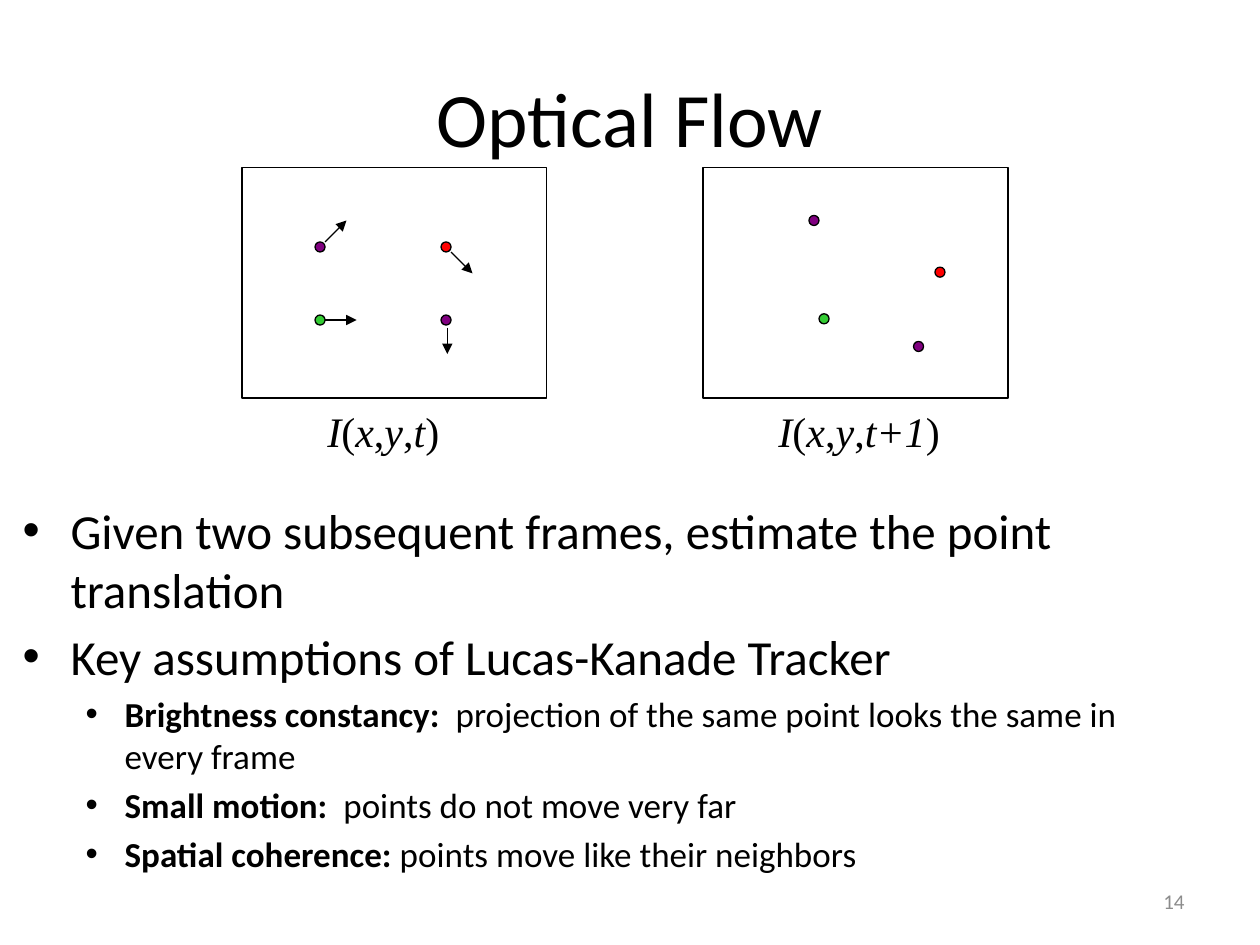
"""Build the optical flow slide."""
from lxml.etree import SubElement
from pptx import Presentation
from pptx.dml.color import RGBColor
from pptx.enum.shapes import MSO_CONNECTOR as CONN, MSO_SHAPE as SHAPE
from pptx.enum.text import MSO_ANCHOR as ANCHOR, MSO_AUTO_SIZE as FIT, PP_ALIGN as ALIGN
from pptx.oxml.ns import qn
from pptx.util import Inches, Pt

BLACK = RGBColor(0, 0, 0)
WHITE = RGBColor(255, 255, 255)
GRAY = RGBColor(0x8C, 0x8C, 0x8C)
PURPLE = RGBColor(0x80, 0, 0x80)
RED = RGBColor(255, 0, 0)
GREEN = RGBColor(0x33, 0xCC, 0x33)

DOT = 0.08
FRAME_TOP, FRAME_W, FRAME_H = 1.33, 2.42, 1.83
FRAMES = [
    (1.92, [(2.5, 1.92, PURPLE), (3.5, 1.92, RED), (2.5, 2.5, GREEN), (3.5, 2.5, PURPLE)]),
    (5.58, [(6.42, 1.71, PURPLE), (7.42, 2.12, RED), (6.5, 2.49, GREEN), (7.25, 2.71, PURPLE)]),
]
ARROWS = [
    (2.58, 1.92, 2.75, 1.75),
    (2.58, 2.54, 2.83, 2.54),
    (3.58, 2, 3.75, 2.17),
    (3.55, 2.6, 3.55, 2.81),
]
LABELS = [((2.5, 3.17, 1.1, 0.51), "t"), ((6.08, 3.17, 1.49, 0.51), "t+1")]
LEVELS = [
    {"size": 28, "left": 0.38, "hang": 0.38},
    {"size": 20, "left": 0.81, "hang": 0.31},
]
TASK = [(0, "", "Given two subsequent frames, estimate the point translation")]
ASSUMPTIONS = [
    (0, "", "Key assumptions of Lucas-Kanade Tracker"),
    (1, "Brightness constancy:", "  projection of the same point looks the same in every frame"),
    (1, "Small motion:", "  points do not move very far"),
    (1, "Spatial coherence:", " points move like their neighbors"),
]


def place(sp, box):
    """Move and size a shape in inches."""
    for name, value in zip(("left", "top", "width", "height"), box):
        setattr(sp, name, Inches(value))


def add_run(p, text, size, name="Calibri", color=BLACK, **extra):
    """Add a formatted run to a paragraph."""
    r = p.add_run()
    r.text = text
    for key, value in {"size": Pt(size), "name": name, **extra}.items():
        setattr(r.font, key, value)
    r.font.color.rgb = color


def add_shape(s, kind, box, fill):
    """Add a filled shape with a thin black outline."""
    sp = s.shapes.add_shape(kind, *map(Inches, box))
    sp.shadow.inherit = False
    sp.fill.solid()
    sp.fill.fore_color.rgb = fill
    sp.line.color.rgb = BLACK
    sp.line.width = Pt(0.75)


def add_arrow(s, ends):
    """Add a thin black arrow."""
    c = s.shapes.add_connector(CONN.STRAIGHT, *map(Inches, ends))
    c.line.color.rgb = BLACK
    c.line.width = Pt(0.75)
    SubElement(c.line._get_or_add_ln(), qn("a:tailEnd"), type="triangle")
    SubElement(c._element.spPr, qn("a:effectLst"))


def fill_list(sp, box, items):
    """Fill a placeholder with bulleted items."""
    place(sp, box)
    tf = sp.text_frame
    tf.auto_size = FIT.NONE
    for i, (level, lead, text) in enumerate(items):
        p = tf.add_paragraph() if i else tf.paragraphs[0]
        style = LEVELS[level]
        p.level = level
        pPr = p._p.get_or_add_pPr()
        pPr.set("marL", str(Inches(style["left"])))
        pPr.set("indent", str(-Inches(style["hang"])))
        SubElement(pPr, qn("a:buFont"), typeface="Arial")
        SubElement(pPr, qn("a:buChar"), char="•")
        if not i:
            p.space_before = Pt(0)
        if lead:
            add_run(p, lead, style["size"], bold=True)
        add_run(p, text, style["size"])


def add_label(s, box, time):
    """Add the image function label under a frame."""
    tf = s.shapes.add_textbox(*map(Inches, box)).text_frame
    tf.word_wrap = False
    tf.auto_size = FIT.SHAPE_TO_FIT_TEXT
    for text in ("I", "(", "x", ",", "y", ",", time, ")"):
        add_run(tf.paragraphs[0], text, 24, "Times New Roman", italic=text not in "(,)")


def add_number(s, text):
    """Add the slide number."""
    tf = s.shapes.add_textbox(*map(Inches, (7.17, 6.95, 2.33, 0.4))).text_frame
    tf.word_wrap = True
    tf.vertical_anchor = ANCHOR.MIDDLE
    p = tf.paragraphs[0]
    p.alignment = ALIGN.RIGHT
    add_run(p, text, 12, color=GRAY)


def main():
    """Create and save the slide."""
    prs = Presentation()
    prs.slide_width, prs.slide_height = Inches(10), Inches(7.5)
    s = prs.slides.add_slide(prs.slide_layouts[3])
    title, task, assumptions = s.placeholders
    place(title, (0.5, 0.3, 9, 1.25))
    title.text_frame.vertical_anchor = ANCHOR.MIDDLE
    add_run(title.text_frame.paragraphs[0], "Optical Flow", 44)
    fill_list(task, (0.08, 3.92, 9.75, 1.08), TASK)
    fill_list(assumptions, (0.08, 4.92, 9, 2.42), ASSUMPTIONS)
    for left, dots in FRAMES:
        add_shape(s, SHAPE.RECTANGLE, (left, FRAME_TOP, FRAME_W, FRAME_H), WHITE)
        for x, y, color in dots:
            add_shape(s, SHAPE.OVAL, (x, y, DOT, DOT), color)
    for ends in ARROWS:
        add_arrow(s, ends)
    for box, time in LABELS:
        add_label(s, box, time)
    add_number(s, "14")
    prs.save("out.pptx")


if __name__ == "__main__":
    main()
